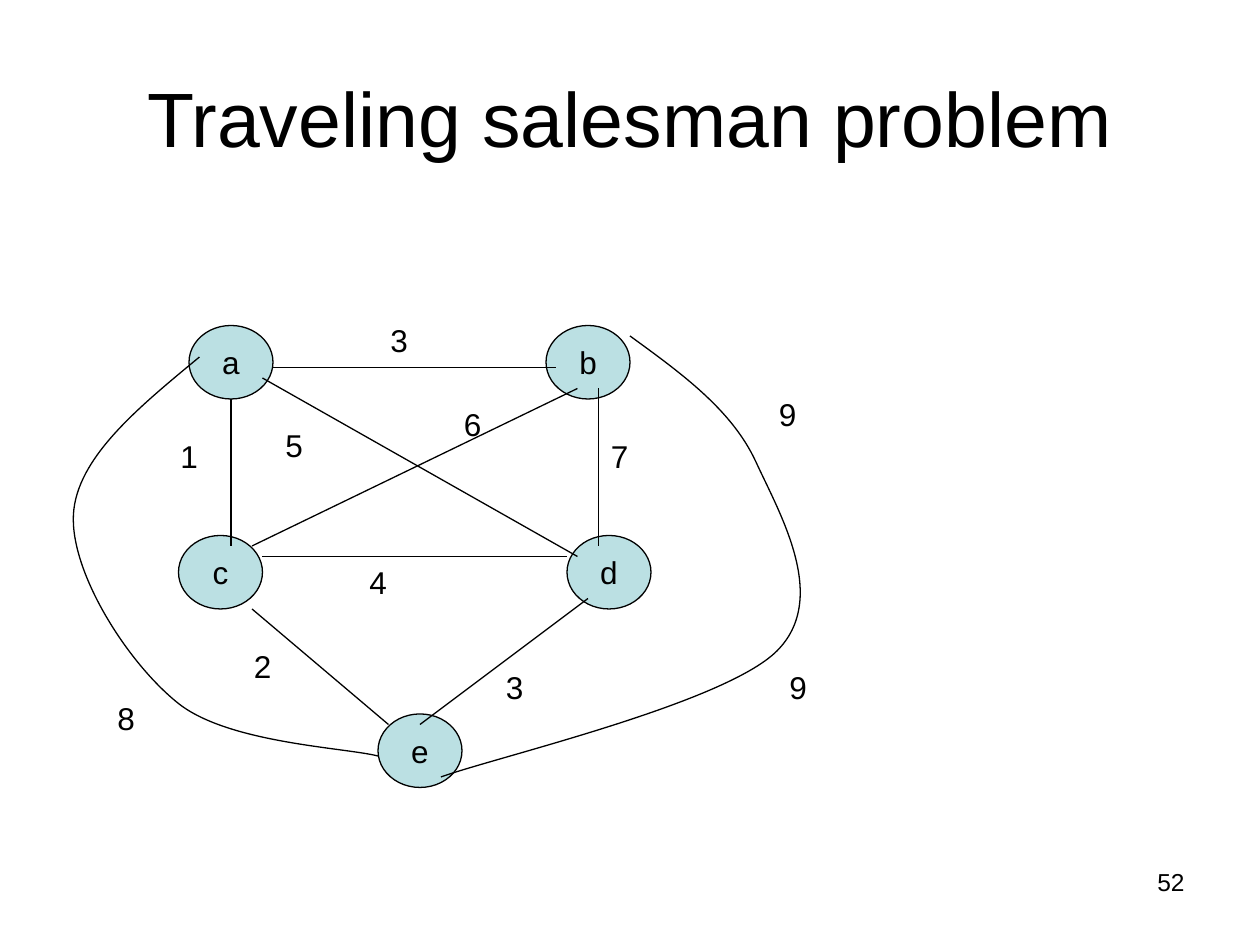
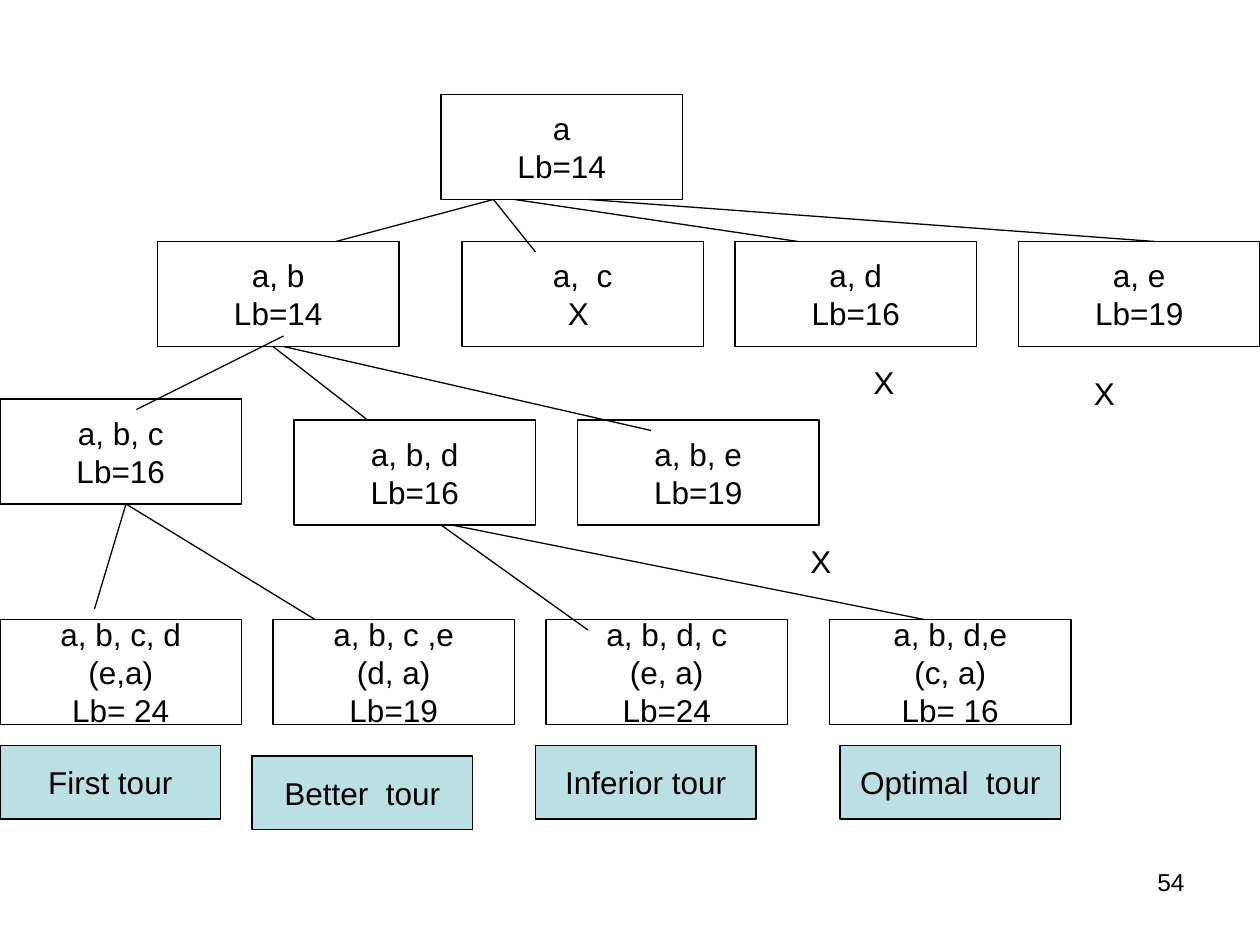
"""Builds a salesman graph and its branch-and-bound tree on two slides."""
from lxml import etree
from pptx import Presentation
from pptx import util as u
from pptx.dml.color import RGBColor
from pptx.enum import shapes, text
from pptx.oxml.ns import qn

COLORS = {"ink": "000000", "paper": "FFFFFF", "teal": "BBE0E3"}
ALIGN = text.PP_ALIGN
FORMS = shapes.MSO_SHAPE
STEP = u.Cm(2.54) // 12


def unit(n):
    """Turn grid steps, twelve to the inch, into a length."""
    return u.Emu(round(n * STEP))


def color(name):
    """Look up a named colour."""
    return RGBColor.from_string(COLORS[name])


def write(shape, words, size=18, align=ALIGN.LEFT, anchor=text.MSO_ANCHOR.TOP, wrap=True):
    """Put text into a shape, one paragraph a line."""
    frame = shape.text_frame
    frame.word_wrap = wrap
    frame.vertical_anchor = anchor
    frame.text = words
    for para in frame.paragraphs:
        para.alignment = align
        para.font.size = u.Pt(size)
        para.font.name = "Arial"
        para.font.color.rgb = color("ink")


def bend(shape):
    """Turn each three straight segments of an outline into a cubic one."""
    lines = list(shape._element.iter(qn("a:lnTo")))
    for first, second, third in zip(*[iter(lines)] * 3):
        cubic = etree.Element(qn("a:cubicBezTo"))
        first.addprevious(cubic)
        for line in (first, second, third):
            cubic.append(line[0])
            line.getparent().remove(line)


class Deck:
    """Holds the style and the current slide."""

    def __init__(self):
        """Open an empty deck of 10 by 7.5 inches."""
        self.file = Presentation()
        self.file.slide_width = unit(120)
        self.file.slide_height = unit(90)

    def page(self, number):
        """Add a blank slide with its number."""
        self.slide = self.file.slides.add_slide(self.file.slide_layouts[6])
        self.label(86, 82, 28, 6.25, str(number), size=14, align=ALIGN.RIGHT)

    def label(self, x, y, w, h, words, **form):
        """Add a plain text box."""
        write(self.slide.shapes.add_textbox(*map(unit, (x, y, w, h))), words, **form)

    def pen(self, line):
        """Style an outline."""
        line.color.rgb = color("ink")
        line.width = u.Pt(0.75)

    def node(self, x, y, w, h, words, kind=FORMS.RECTANGLE, fill="teal"):
        """Add an outlined shape with centred text."""
        shape = self.slide.shapes.add_shape(kind, *map(unit, (x, y, w, h)))
        shape.shadow.inherit = False
        shape.fill.solid()
        shape.fill.fore_color.rgb = color(fill)
        self.pen(shape.line)
        write(shape, words, align=ALIGN.CENTER, anchor=text.MSO_ANCHOR.MIDDLE, wrap=False)

    def edge(self, *ends):
        """Draw a straight line."""
        line = self.slide.shapes.add_connector(
            shapes.MSO_CONNECTOR.STRAIGHT, *map(unit, ends))
        self.pen(line.line)
        etree.SubElement(line._element.spPr, qn("a:effectLst"))

    def curve(self, start, *spots):
        """Draw an open cubic outline, three spots a part."""
        pen = self.slide.shapes.build_freeform(*map(unit, start))
        pen.add_line_segments([tuple(map(unit, spot)) for spot in spots], close=False)
        shape = pen.convert_to_shape()
        bend(shape)
        shape.shadow.inherit = False
        shape.fill.background()
        self.pen(shape.line)


def graph(deck):
    """Draw the weighted graph."""
    deck.page(52)
    deck.label(6, 3.6, 108, 15, "Traveling salesman problem", size=44,
               align=ALIGN.CENTER, anchor=text.MSO_ANCHOR.MIDDLE)
    for name, x, y in [("a", 18, 31), ("e", 36, 68), ("c", 17, 51),
                       ("d", 54, 51), ("b", 52, 31)]:
        deck.node(x, y, 8, 7, name, kind=FORMS.OVAL)
    for ends in [(26, 35, 53, 35), (57, 37, 57, 52), (22, 38, 22, 52), (25, 53, 54, 53),
                 (24, 58, 37, 69), (56, 57, 40, 69), (55, 37, 24, 52), (25, 36, 55, 53)]:
        deck.edge(*ends)
    deck.curve((60, 32),
               (64.8, 35.5), (69.7, 39), (72, 44),
               (74.3, 49), (79, 57), (74, 62),
               (69, 67), (47.3, 72.1), (42, 74))
    deck.curve((19, 34),
               (13.2, 38.8), (7.3, 43.6), (7, 49),
               (6.7, 54.5), (12.1, 63.1), (17, 67),
               (21.8, 70.8), (32.9, 71.2), (36, 72))
    for cost, x, y in [(9, 73, 37), (4, 34, 53), (1, 16, 41), (3, 36, 30), (7, 57, 41),
                       (3, 47, 63), (9, 74, 63), (5, 26, 40), (6, 43, 38), (8, 10, 66),
                       (2, 23, 61)]:
        deck.label(x, y, 9, 4.8, str(cost))


def tree(deck):
    """Draw the search tree."""
    deck.page(54)
    for x, y, words in [
            (42, 9, "a\nLb=14"),
            (97, 23, "a, e\nLb=19"),
            (70, 23, "a, d\nLb=16"),
            (44, 23, "a,  c\nX "),
            (15, 23, "a, b\nLb=14"),
            (55, 40, "a, b, e\nLb=19"),
            (28, 40, "a, b, d\nLb=16"),
            (0, 38, "a, b, c\nLb=16"),
            (79, 59, "a, b, d,e\n(c, a)\nLb= 16"),
            (52, 59, "a, b, d, c\n(e, a)\nLb=24"),
            (26, 59, "a, b, c ,e\n(d, a)\nLb=19"),
            (0, 59, "a, b, c, d\n(e,a)\nLb= 24")]:
        deck.node(x, y, 23, 10, words, fill="paper")
    for ends in [(47, 19, 32, 23), (47, 19, 51, 24), (49, 19, 76, 23), (56, 19, 110, 23),
                 (27, 32, 13, 39), (26, 33, 35, 40), (27, 33, 62, 41),
                 (12, 48, 9, 58), (12, 48, 30, 59), (42, 50, 56, 60), (43, 50, 88, 59)]:
        deck.edge(*ends)
    for x, y, words in [(0, 71, "First tour"), (24, 72, "Better  tour"),
                        (51, 71, "Inferior tour"), (80, 71, "Optimal  tour")]:
        deck.node(x, y, 21, 7, words)
    for x, y in [(76, 51), (82, 34), (103, 35)]:
        deck.label(x, y, 12, 4.8, "X")


def main():
    """Build and save the deck."""
    deck = Deck()
    graph(deck)
    tree(deck)
    deck.file.save("out.pptx")


if __name__ == "__main__":
    main()
